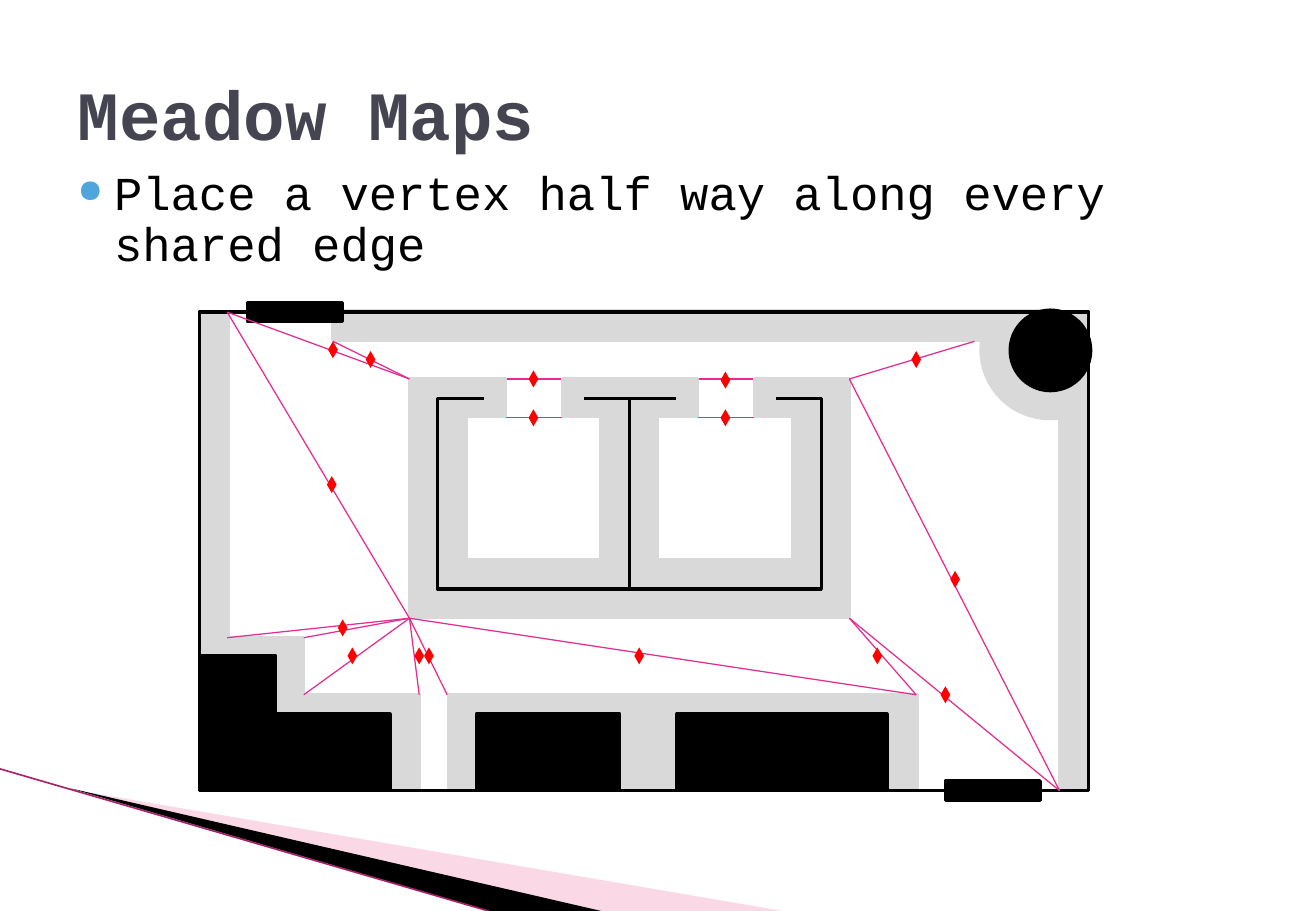
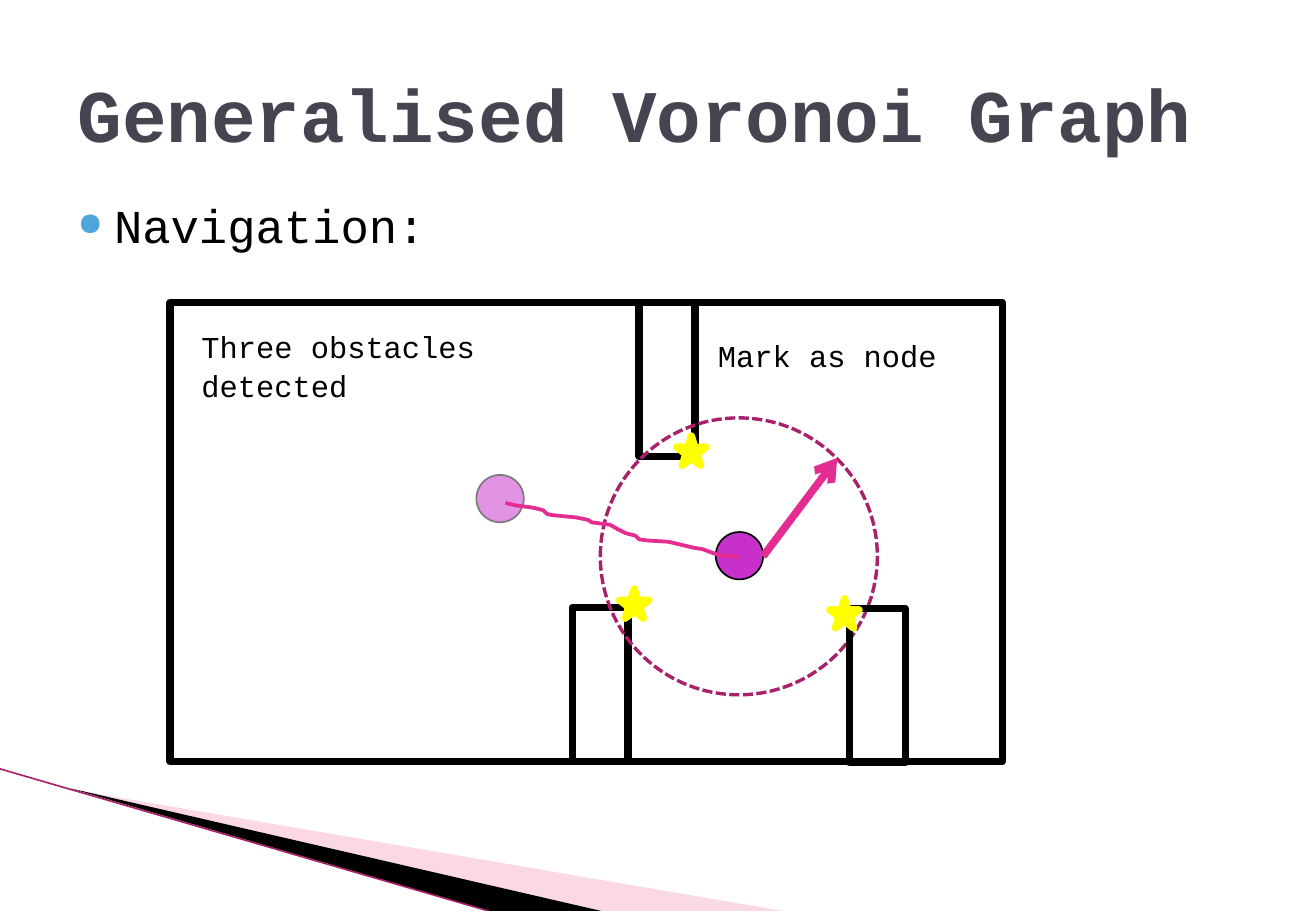
from dataclasses import dataclass

from lxml import etree
from pptx import Presentation
from pptx import util as u
from pptx.dml.color import RGBColor
from pptx.enum import dml, shapes, text
from pptx.oxml import ns

FONT = "Courier New"
BLACK, WHITE, GREY = "000000", "FFFFFF", "D9D9D9"
PINK, PLUM, ROSE = "E32D91", "A8216B", "F39EC0"
INK, BLUE, RED = "454551", "4EA6DC", "FF0000"
GOLD, VIOLET = "FFFF00", "C830CC"
KIND = shapes.MSO_SHAPE


@dataclass(frozen=True)
class Box:
    x: float
    y: float
    w: float
    h: float
    fill: str | None = None
    edge: str | None = None
    pt: float = 2
    kind: KIND = KIND.RECTANGLE
    alpha: int = 100
    dash: bool = False


@dataclass(frozen=True)
class Line:
    x1: float
    y1: float
    x2: float
    y2: float
    hue: str = PINK
    pt: float = 0.75
    arrow: bool = False


def rgb(code: str) -> RGBColor:
    return RGBColor.from_string(code)


def child(node, tag: str, **attrs: str):
    return etree.SubElement(node, ns.qn(tag), attrs)


def style(shape, fill=None, edge=None, pt=1.0, alpha=100, dash=False) -> None:
    shape.shadow.inherit = False
    if fill:
        shape.fill.solid()
        shape.fill.fore_color.rgb = rgb(fill)
        if alpha < 100:
            tint = shape.fill._xPr.find(".//" + ns.qn("a:srgbClr"))
            child(tint, "a:alpha", val=str(alpha * 1000))
    else:
        shape.fill.background()
    if edge:
        shape.line.color.rgb = rgb(edge)
        shape.line.width = u.Pt(pt)
        if dash:
            shape.line.dash_style = dml.MSO_LINE.SQUARE_DOT
    else:
        shape.line.fill.background()


def draw(slide, box: Box) -> None:
    place = [u.Inches(v) for v in (box.x, box.y, box.w, box.h)]
    shape = slide.shapes.add_shape(box.kind, *place)
    style(shape, box.fill, box.edge, box.pt, box.alpha, box.dash)


def link(slide, line: Line) -> None:
    ends = [u.Inches(v) for v in (line.x1, line.y1, line.x2, line.y2)]
    wire = slide.shapes.add_connector(shapes.MSO_CONNECTOR.STRAIGHT, *ends)
    wire.line.color.rgb = rgb(line.hue)
    wire.line.width = u.Pt(line.pt)
    if line.arrow:
        child(wire.line._get_or_add_ln(), "a:tailEnd", type="arrow")
    child(wire._element.spPr, "a:effectLst")


def trace(slide, points, close=True, **look) -> None:
    spots = [(u.Inches(x), u.Inches(y)) for x, y in points]
    pen = slide.shapes.build_freeform(*spots[0], scale=1.0)
    pen.add_line_segments(spots[1:], close=close)
    style(pen.convert_to_shape(), **look)


def write(slide, words, x, y, w, h, *, size, hue=BLACK, bold=False,
          mid=False, dot=False, space=None, before=0) -> None:
    place = [u.Inches(v) for v in (x, y, w, h)]
    frame = slide.shapes.add_textbox(*place).text_frame
    frame.word_wrap = True
    frame.vertical_anchor = (text.MSO_ANCHOR.MIDDLE if mid
                             else text.MSO_ANCHOR.TOP)
    for i, part in enumerate(words.split("\n")):
        para = frame.add_paragraph() if i else frame.paragraphs[0]
        para.line_spacing = space
        para.space_before = u.Pt(before)
        run = para.add_run()
        run.text = part
        font = run.font
        font.name, font.size, font.bold = FONT, u.Pt(size), bold
        font.color.rgb = rgb(hue)
        if dot:
            props = para._p.get_or_add_pPr()
            props.set("marL", str(u.Inches(0.3)))
            props.set("indent", str(-u.Inches(0.3)))
            child(child(props, "a:buClr"), "a:srgbClr", val=BLUE)
            child(props, "a:buSzPct", val="68000")
            child(props, "a:buChar", char="●")


def start(deck, title: str, size: int, body: str, top: float):
    slide = deck.slides.add_slide(deck.slide_layouts[6])
    trace(slide, [(0.59, 6.5), (6.44, 7.5), (4.94, 7.5)], fill=ROSE, alpha=40)
    trace(slide, [(0.58, 6.49), (4.95, 7.5), (4.03, 7.5)], fill=BLACK)
    link(slide, Line(0, 6.33, 4.02, 7.5, PLUM, 0.95))
    write(slide, body, 0.54, top, 9.75, 4.95, size=28, dot=True,
          space=0.9, before=4)
    write(slide, title, 0.54, 0.3, 9.75, 1.25, size=size, hue=INK,
          bold=True, mid=True)
    return slide


def pad(x: float, y: float, w: float, h: float) -> Box:
    return Box(x, y, w, h, GREY, GREY)


def block(x: float, y: float, w: float, h: float) -> Box:
    return Box(x, y, w, h, BLACK, BLACK)


def blank(x: float, y: float, w: float, h: float) -> Box:
    return Box(x, y, w, h, WHITE, WHITE)


def frame(x: float, y: float, w: float, h: float, pt: float = 2) -> Box:
    return Box(x, y, w, h, None, BLACK, pt)


def meadow(deck) -> None:
    slide = start(deck, "Meadow Maps", 41,
                  "Place a vertex half way along every shared edge", 1.35)
    rooms = (3.6, 5.18)
    for x in rooms:
        link(slide, Line(x + 0.48, 3.12, x + 1.03, 3.12))
        link(slide, Line(x + 0.56, 3.44, x + 1.11, 3.44))

    margins = [
        Box(8.09, 2.33, 1.1, 1.1, GREY, GREY, 4.33, KIND.OVAL),
        blank(8.02, 2.18, 1.26, 0.39),
        blank(8.96, 2.33, 0.31, 1.1),
        *[pad(x, 3.12, 0.16, 0.31) for x in (6.36, 5.42, 4.79)],
        *[pad(x, 3.12, 0.47, 1.81) for x in (3.37, 4.94, 6.52)],
        pad(3.37, 4.61, 3.62, 0.47),
        pad(3.69, 5.72, 3.86, 0.79),
        pad(2.74, 2.56, 5.98, 0.24),
        pad(8.72, 2.57, 0.24, 3.94),
        pad(2.27, 5.72, 1.18, 0.79),
        pad(1.87, 5.25, 0.63, 1.26),
        pad(1.64, 2.57, 0.24, 3.94),
        pad(3.84, 3.12, 0.31, 0.31),
    ]
    walls = [
        frame(1.64, 2.57, 7.32, 3.94),
        block(2.04, 2.49, 0.78, 0.16),
        block(1.64, 5.4, 0.63, 1.1),
        block(1.64, 5.88, 1.57, 0.63),
        block(3.92, 5.88, 1.18, 0.63),
        block(5.57, 5.88, 1.73, 0.63),
        block(7.78, 6.43, 0.78, 0.16),
        Box(8.33, 2.57, 0.63, 0.63, BLACK, BLACK, 4.33, KIND.OVAL),
        *[frame(x, 3.28, 1.58, 1.57) for x in rooms],
    ]
    doors = [blank(x + 0.4, 3.2, 0.78, 0.16) for x in rooms]
    jambs = [pad(x + gap, 3.12, 0.16, 0.31)
             for x in rooms for gap in (0.4, 1.03)]
    for box in margins + walls + doors + jambs:
        draw(slide, box)

    fans = {
        (3.37, 3.12): [(1.87, 2.57), (2.74, 2.81)],
        (3.37, 5.09): [(1.87, 2.57), (1.87, 5.25), (2.5, 5.25), (2.5, 5.72),
                       (3.45, 5.72), (3.68, 5.72), (7.54, 5.72)],
        (6.99, 5.09): [(7.54, 5.72), (8.72, 6.51)],
        (6.99, 3.12): [(8.72, 6.51), (8.02, 2.81)],
    }
    for hub, tips in fans.items():
        for tip in tips:
            link(slide, Line(*tip, *hub))

    nodes = [(2.82, 5.17), (2.9, 5.4), (3.45, 5.4), (3.53, 5.4), (5.26, 5.4),
             (7.22, 5.4), (7.78, 5.72), (7.86, 4.77), (7.54, 2.96),
             (5.97, 3.13), (5.97, 3.44), (4.39, 3.44), (4.39, 3.12),
             (2.74, 2.88), (3.05, 2.96), (2.73, 3.99)]
    wide, tall = 0.08, 0.14
    for x, y in nodes:
        draw(slide, Box(x - wide / 2, y - tall / 2, wide, tall, RED,
                        kind=KIND.DIAMOND))


def graph(deck) -> None:
    slide = start(deck, "Generalised Voronoi Graph", 44, "Navigation:", 1.62)
    thick = 4.33

    def robot(x: float, y: float) -> Box:
        return Box(x, y, 0.39, 0.39, VIOLET, BLACK, 1, KIND.OVAL)

    for box in (
        robot(3.92, 3.91),
        frame(1.4, 2.49, 6.85, 3.78, thick),
        frame(4.71, 5, 0.46, 1.27, thick),
        frame(5.26, 2.49, 0.46, 1.27, thick),
        robot(5.89, 4.38),
        Box(4.94, 3.44, 2.28, 2.28, None, PLUM, 2, KIND.OVAL, dash=True),
        Box(3.84, 3.75, 0.63, 0.71, WHITE, alpha=48),
    ):
        draw(slide, box)
    link(slide, Line(6.28, 4.58, 6.89, 3.77, pt=4.5, arrow=True))

    trail = [(4.16, 4.14), (4.24, 4.16), (4.39, 4.18), (4.47, 4.2),
             (4.5, 4.23), (4.54, 4.24), (4.74, 4.26), (4.84, 4.28),
             (4.87, 4.3), (5.02, 4.32), (5.09, 4.36), (5.15, 4.39),
             (5.23, 4.41), (5.26, 4.44), (5.33, 4.45), (5.5, 4.46),
             (5.63, 4.49), (5.71, 4.51), (5.78, 4.52), (5.86, 4.55),
             (5.92, 4.57), (6.05, 4.58), (6.09, 4.59)]
    trace(slide, trail, close=False, edge=PINK, pt=2.25)

    draw(slide, frame(6.99, 5.01, 0.46, 1.27, thick))
    for x, y in ((5.1, 4.85), (5.57, 3.59), (6.83, 4.93)):
        draw(slide, Box(x, y, 0.24, 0.24, GOLD, GOLD, thick,
                        KIND.STAR_5_POINT))
    write(slide, "Three obstacles\ndetected", 1.56, 2.65, 2.64, 0.91,
          size=18, before=1.5)
    write(slide, "Mark as node", 5.81, 2.73, 2.2, 0.5, size=18, before=1.5)


def main() -> None:
    deck = Presentation()
    deck.slide_width, deck.slide_height = u.Inches(10.83), u.Inches(7.5)
    meadow(deck)
    graph(deck)
    deck.save("out.pptx")


if __name__ == "__main__":
    main()
